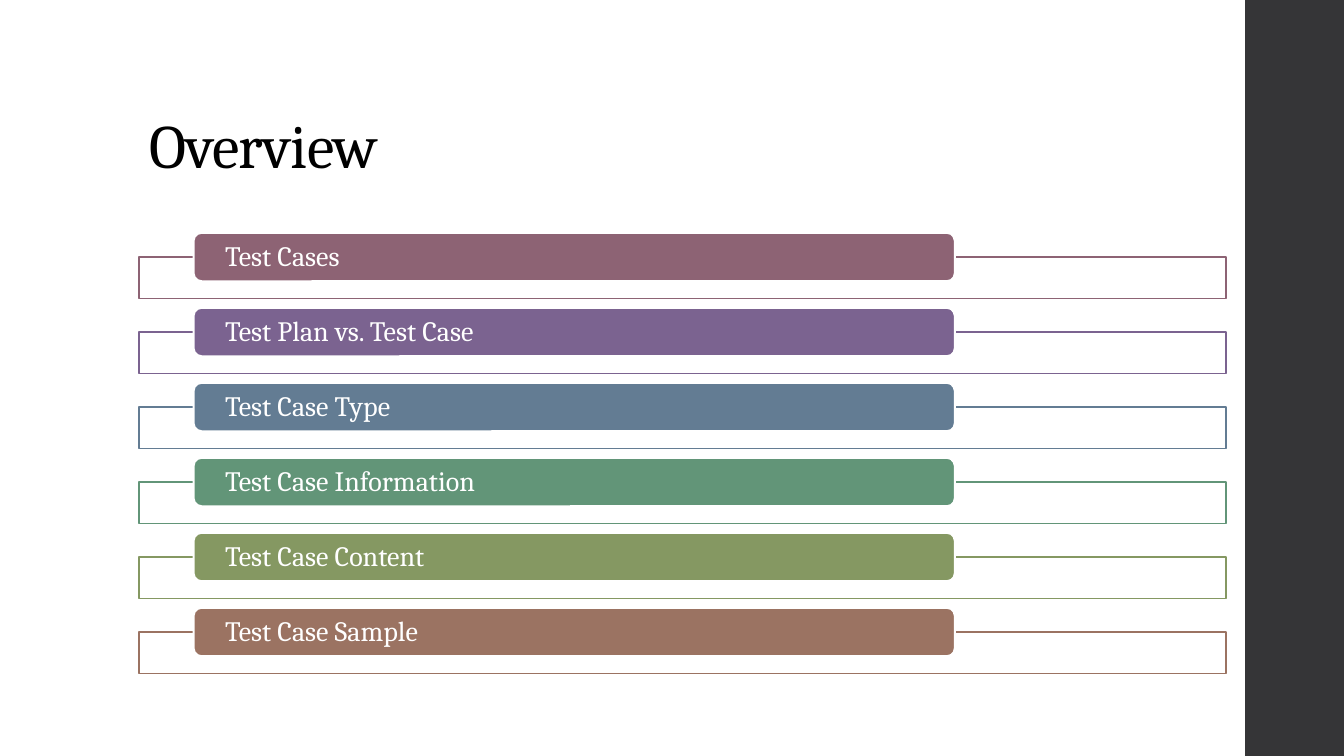
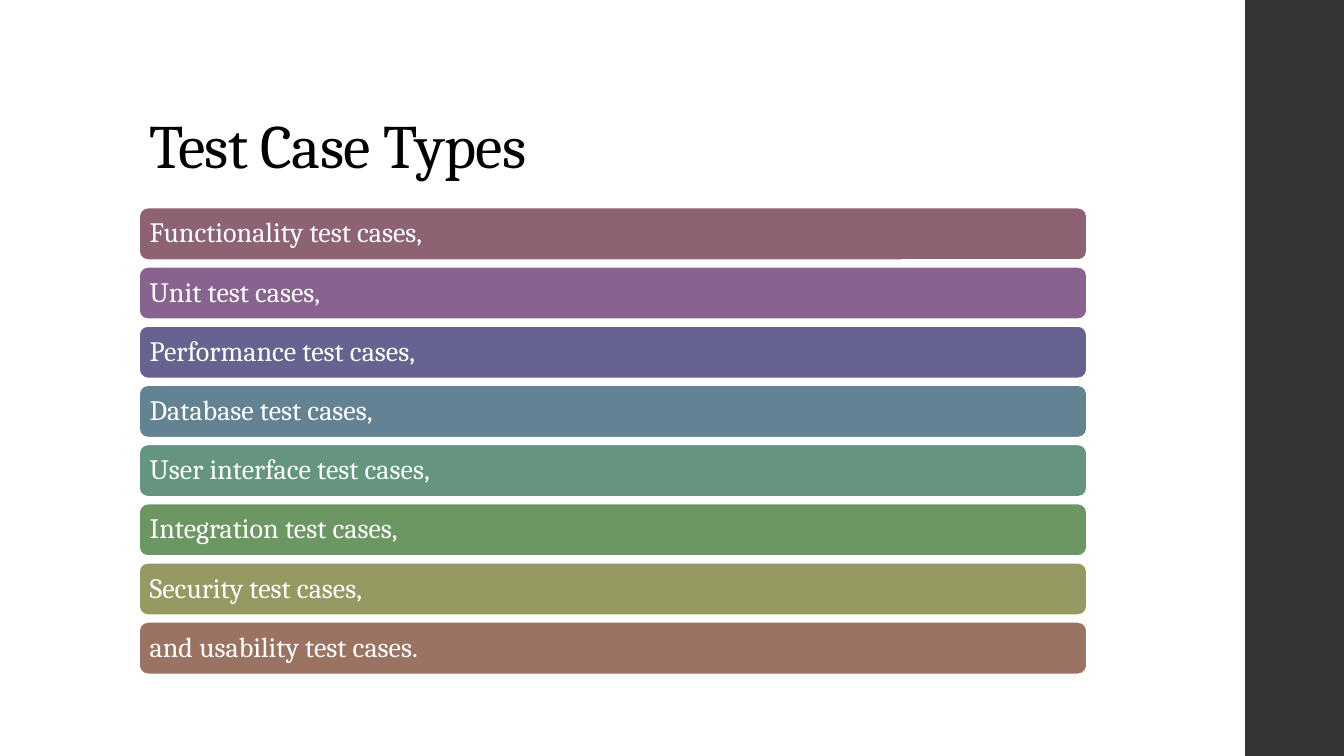
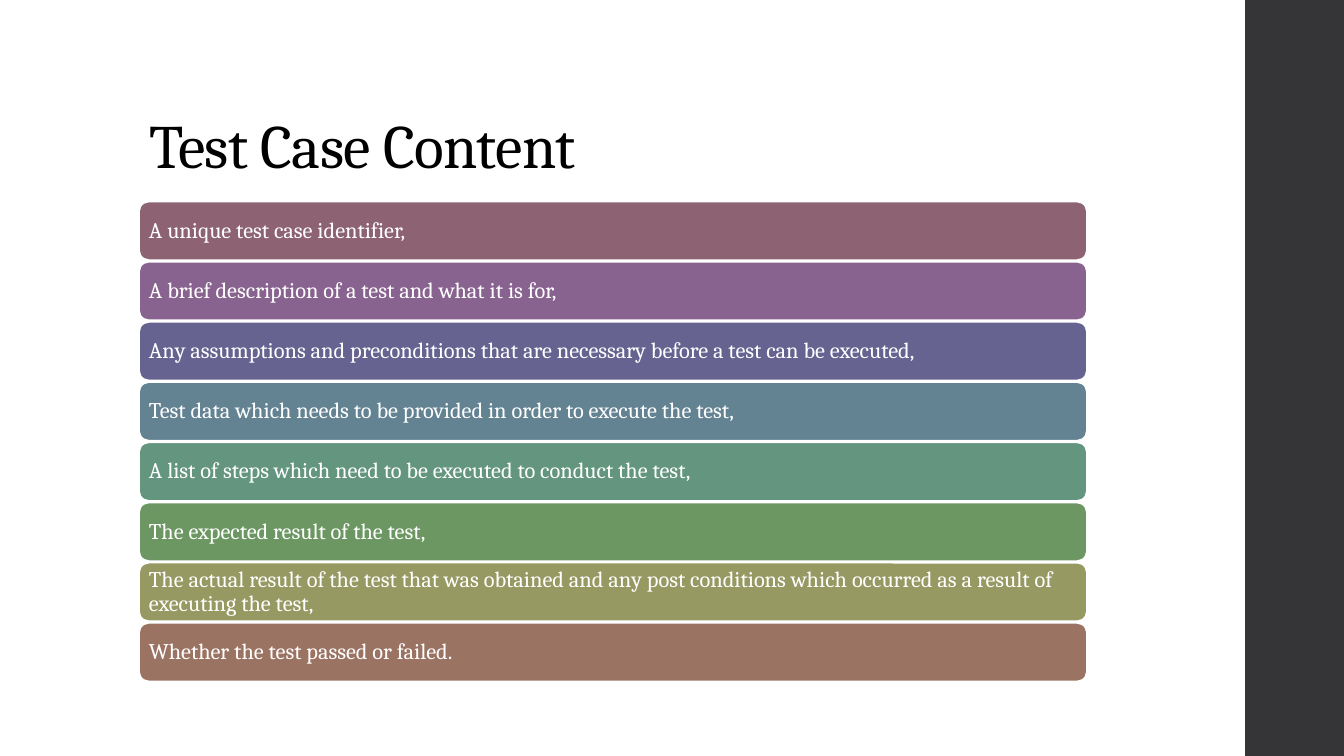
from pptx import Presentation
from pptx.dml.color import RGBColor
from pptx.enum import shapes, text
from pptx.util import Inches, Pt

WHITE = RGBColor(0xFF, 0xFF, 0xFF)
BLACK = RGBColor(0x00, 0x00, 0x00)
CHARCOAL = RGBColor(0x35, 0x35, 0x37)
ROSE = RGBColor(0x8D, 0x63, 0x74)
BROWN = RGBColor(0x9B, 0x73, 0x62)
OVERVIEW_COLORS = [
    ROSE,
    RGBColor(0x7B, 0x63, 0x90),
    RGBColor(0x63, 0x7C, 0x93),
    RGBColor(0x62, 0x95, 0x78),
    RGBColor(0x85, 0x98, 0x62),
    BROWN,
]
LIST_COLORS = [
    ROSE,
    RGBColor(0x88, 0x63, 0x8F),
    RGBColor(0x67, 0x63, 0x91),
    RGBColor(0x63, 0x83, 0x93),
    RGBColor(0x63, 0x95, 0x7F),
    RGBColor(0x6C, 0x97, 0x62),
    RGBColor(0x96, 0x99, 0x62),
    BROWN,
]

OVERVIEW = [
    "Test Cases",
    "Test Plan vs. Test Case",
    "Test Case Type",
    "Test Case Information",
    "Test Case Content",
    "Test Case Sample",
]
TYPES = [
    "Functionality test cases,",
    "Unit test cases,",
    "Performance test cases,",
    "Database test cases,",
    "User interface test cases,",
    "Integration test cases,",
    "Security test cases,",
    "and usability test cases.",
]
CONTENT = [
    "A unique test case identifier,",
    "A brief description of a test and what it is for,",
    "Any assumptions and preconditions that are necessary before a test can be executed,",
    "Test data which needs to be provided in order to execute the test,",
    "A list of steps which need to be executed to conduct the test,",
    "The expected result of the test,",
    "The actual result of the test that was obtained and any post conditions "
    "which occurred as a result of executing the test,",
    "Whether the test passed or failed.",
]


def spread(first, last, count):
    return [first + (last - first) * index / (count - 1) for index in range(count)]


class Deck:
    FONT = "Cambria"
    LEFT = 1.38
    LIST_WIDTH = 9.4

    def __init__(self):
        self.deck = Presentation()
        self.deck.slide_width = Inches(13.33)
        self.deck.slide_height = Inches(7.5)
        self.page = None

    def add_page(self, heading, title_width=10.6):
        self.page = self.deck.slides.add_slide(self.deck.slide_layouts[5])
        self.shape(shapes.MSO_SHAPE.RECTANGLE, 12.35, 0, 0.98, 7.5, CHARCOAL)
        self.title(heading, title_width)

    def title(self, heading, width):
        box = self.page.shapes.title
        box.left, box.top = Inches(self.LEFT), Inches(0.4)
        box.width, box.height = Inches(width), Inches(1.45)
        box.text_frame.auto_size = text.MSO_AUTO_SIZE.NONE
        self.set_text(box, heading, 44, BLACK, text.MSO_ANCHOR.BOTTOM)
        span = box.text_frame.paragraphs[0].runs[0]
        span._r.get_or_add_rPr().set("spc", "-50")

    def set_text(self, box, words, size, color, anchor):
        area = box.text_frame
        area.word_wrap = True
        area.vertical_anchor = anchor
        para = area.paragraphs[0]
        para.text = words
        para.alignment = text.PP_ALIGN.LEFT
        para.line_spacing = 0.9
        para.font.name = self.FONT
        para.font.size = Pt(size)
        para.font.color.rgb = color

    def shape(self, kind, left, top, width, height, fill, line=None, weight=1.1):
        box = self.page.shapes.add_shape(
            kind, Inches(left), Inches(top), Inches(width), Inches(height))
        box.shadow.inherit = False
        box.fill.solid()
        box.fill.fore_color.rgb = fill
        if line is None:
            box.line.fill.background()
        else:
            box.line.color.rgb = line
            box.line.width = Pt(weight)
        return box

    def frame(self, top, color):
        self.shape(shapes.MSO_SHAPE.RECTANGLE, self.LEFT, top, 10.78, 0.41, WHITE, color)

    def bar(self, words, left, top, width, height, color, size, inset, weight=1.1):
        box = self.shape(shapes.MSO_SHAPE.ROUNDED_RECTANGLE,
                         left, top, width, height, color, WHITE, weight)
        area = box.text_frame
        area.margin_left = area.margin_right = Inches(inset)
        area.margin_top = area.margin_bottom = 0
        self.set_text(box, words, size, WHITE, text.MSO_ANCHOR.MIDDLE)

    def tabbed_list(self, items, first, last):
        tops = spread(first, last, len(items))
        for words, top, color in zip(items, tops, OVERVIEW_COLORS):
            self.frame(top + 0.24, color)
            self.bar(words, 1.92, top, 7.55, 0.48, color, 20, 0.29, 1.35)

    def bar_list(self, items, first, last, height, size, inset):
        tops = spread(first, last, len(items))
        for words, top, color in zip(items, tops, LIST_COLORS):
            self.bar(words, self.LEFT, top, self.LIST_WIDTH, height, color, size, inset)

    def save(self):
        self.deck.save("out.pptx")


def main():
    deck = Deck()
    deck.add_page("Overview", 10.78)
    deck.tabbed_list(OVERVIEW, 2.31, 6.03)
    deck.add_page("Test Case Types")
    deck.bar_list(TYPES, 2.06, 6.17, 0.52, 20, 0.08)
    deck.add_page("Test Case Content")
    deck.bar_list(CONTENT, 2, 6.18, 0.58, 16, 0.07)
    deck.save()


if __name__ == "__main__":
    main()
